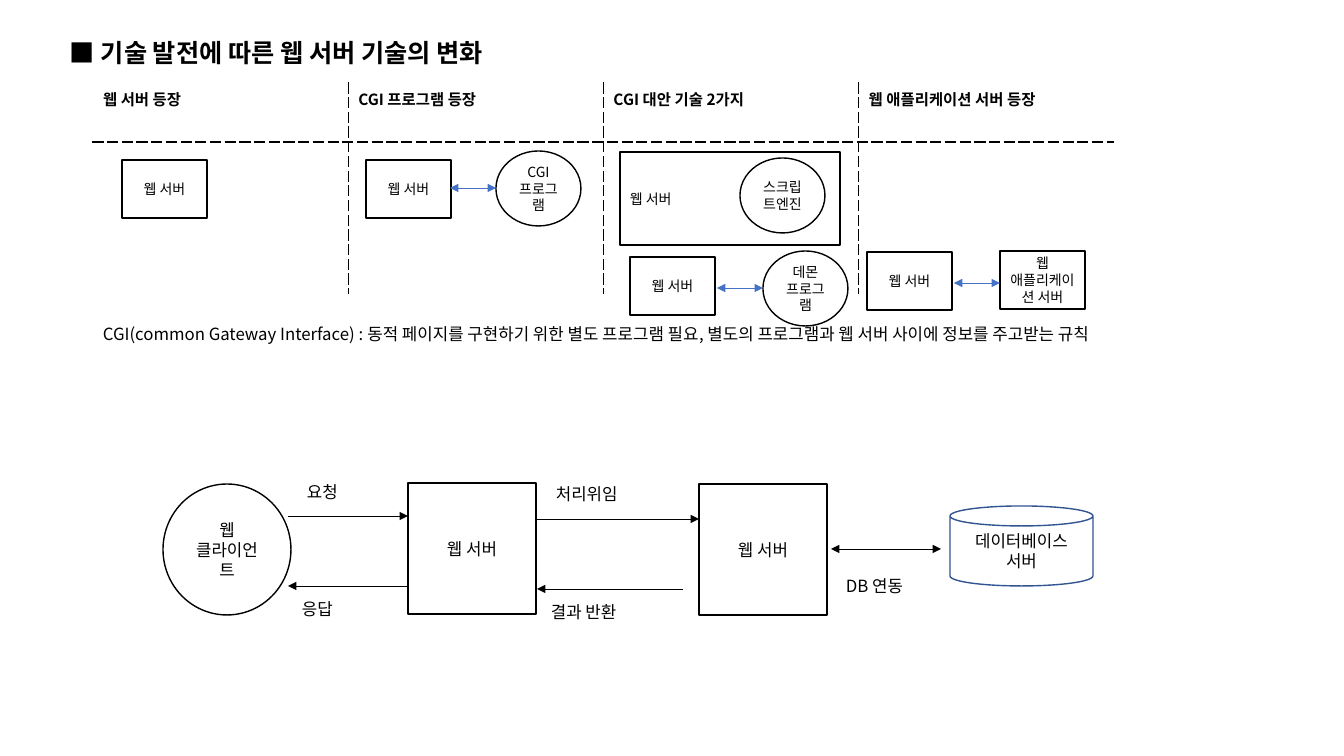
from lxml import etree
from pptx import Presentation
from pptx.dml.color import RGBColor
from pptx.enum.shapes import MSO_CONNECTOR, MSO_SHAPE
from pptx.enum.text import MSO_ANCHOR, PP_ALIGN
from pptx.oxml.ns import qn
from pptx.util import Emu, Pt

RECT, OVAL, CAN = MSO_SHAPE.RECTANGLE, MSO_SHAPE.OVAL, MSO_SHAPE.CAN
STRAIGHT = MSO_CONNECTOR.STRAIGHT
MIDDLE = MSO_ANCHOR.MIDDLE
LEFT, CENTER = PP_ALIGN.LEFT, PP_ALIGN.CENTER

PX_PER_INCH = 100.8
FONT = "Noto Sans CJK KR"
COLORS = {"black": "000000", "white": "FFFFFF", "blue": "4472C4", "navy": "325491"}
SMALL_BOX = (85, 58)
SMALL_OVAL = (85, 75)
LARGE_BOX = (128, 131)
SERVER = "웹 서버"
ERAS = ["웹 서버 등장", "CGI 프로그램 등장", "CGI 대안 기술 2가지", "웹 애플리케이션 서버 등장"]


def px(n):
    return Emu(round(n * 914400 / PX_PER_INCH))


def rgb(name):
    return RGBColor.from_string(COLORS[name])


def write(tf, text, size, bold=False, align=LEFT):
    """Fill a text frame, one paragraph for each line of text."""
    for i, line in enumerate(text.split("\n")):
        p = tf.add_paragraph() if i else tf.paragraphs[0]
        p.alignment = align
        r = p.add_run()
        r.text = line
        r.font.size = Pt(size)
        r.font.bold = bold
        r.font.name = FONT
        r.font.color.rgb = rgb("black")
        etree.SubElement(r._r.get_or_add_rPr(), qn("a:ea"), typeface=FONT)


def add_node(s, kind, x, y, size, text, pt=10, align=CENTER, color="black"):
    sp = s.shapes.add_shape(kind, px(x), px(y), px(size[0]), px(size[1]))
    sp.shadow.inherit = False
    sp.fill.background()
    sp.line.color.rgb = rgb(color)
    sp.line.width = Pt(1)
    sp.text_frame.word_wrap = True
    sp.text_frame.vertical_anchor = MIDDLE
    write(sp.text_frame, text, pt, align=align)


def add_label(s, x, y, text, w=137, h=30, pt=12, bold=False):
    tf = s.shapes.add_textbox(px(x), px(y), px(w), px(h)).text_frame
    tf.word_wrap = True
    write(tf, text, pt, bold)


def add_arrow(s, x1, x2, y, color="black", both=False):
    c = s.shapes.add_connector(STRAIGHT, px(x1), px(y), px(x2), px(y))
    c.line.color.rgb = rgb(color)
    c.line.width = Pt(0.5)
    ln = c.line._get_or_add_ln()
    if both:
        etree.SubElement(ln, qn("a:headEnd"), type="triangle")
    etree.SubElement(ln, qn("a:tailEnd"), type="triangle")
    etree.SubElement(c._element.spPr, qn("a:effectLst"))


def add_border(cell, side, dashed):
    ln = etree.SubElement(cell._tc.get_or_add_tcPr(), qn("a:ln" + side), w=str(Pt(1)))
    fill = etree.SubElement(ln, qn("a:solidFill"))
    color = COLORS["black" if dashed else "white"]
    etree.SubElement(fill, qn("a:srgbClr"), val=color)
    etree.SubElement(ln, qn("a:prstDash"), val="sysDash" if dashed else "solid")


def add_era_table(s):
    """Four columns with dashed inner rules and a white outline."""
    heights = [59, 153]
    last_row, last_col = len(heights) - 1, len(ERAS) - 1
    table = s.shapes.add_table(len(heights), len(ERAS), px(93), px(83),
                               px(1021), px(sum(heights))).table
    table.first_row = table.horz_banding = False
    for row, height in zip(table.rows, heights):
        row.height = px(height)
    for i in range(len(heights)):
        for j, era in enumerate(ERAS):
            cell = table.cell(i, j)
            inner = {"L": j > 0, "R": j < last_col, "T": i > 0, "B": i < last_row}
            for side, dashed in inner.items():
                add_border(cell, side, dashed)
            cell.fill.background()
            if i == 0:
                write(cell.text_frame, era, 11, bold=True)


def add_era_diagrams(s):
    add_node(s, RECT, 620, 152, (220, 93), SERVER, align=LEFT)
    for x, y in [(122, 160), (366, 160), (630, 257), (867, 252)]:
        add_node(s, RECT, x, y, SMALL_BOX, SERVER)
    for x, y, text in [(496, 151, "CGI\n프로그램"), (740, 158, "스크립트엔진"),
                       (763, 251, "데몬\n프로그램")]:
        add_node(s, OVAL, x, y, SMALL_OVAL, text)
    add_node(s, RECT, 1000, 251, SMALL_BOX, "웹 애플리케이션 서버")
    for x, y in [(450, 188), (717, 288), (954, 283)]:
        add_arrow(s, x, x + 46, y, "blue", both=True)


def add_request_flow(s):
    add_node(s, OVAL, 163, 484, LARGE_BOX, "웹 클라이언트", 12)
    add_node(s, RECT, 408, 483, LARGE_BOX, SERVER, 12)
    add_node(s, RECT, 699, 484, LARGE_BOX, SERVER, 12)
    add_node(s, CAN, 950, 506, (143, 80), "데이터베이스\n서버", 12, color="navy")
    for x1, x2, y in [(288, 408, 516), (408, 288, 586), (537, 699, 519), (683, 537, 589)]:
        add_arrow(s, x1, x2, y)
    add_arrow(s, 831, 941, 549, both=True)
    for x, y, text in [(297, 477, "요청"), (292, 594, "응답"), (546, 479, "처리위임"),
                       (541, 597, "결과 반환"), (836, 571, "DB 연동")]:
        add_label(s, x, y, text)


def main():
    prs = Presentation()
    prs.slide_width, prs.slide_height = px(1344), px(756)
    s = prs.slides.add_slide(prs.slide_layouts[6])
    add_era_table(s)
    add_era_diagrams(s)
    add_label(s, 60, 32, "■ 기술 발전에 따른 웹 서버 기술의 변화", 520, 40, 18, True)
    add_label(s, 93, 319, "CGI(common Gateway Interface) : 동적 페이지를 구현하기 위한 별도 프로그램 필요, "
              "별도의 프로그램과 웹 서버 사이에 정보를 주고받는 규칙", 1165)
    add_request_flow(s)
    prs.save("out.pptx")


if __name__ == "__main__":
    main()
